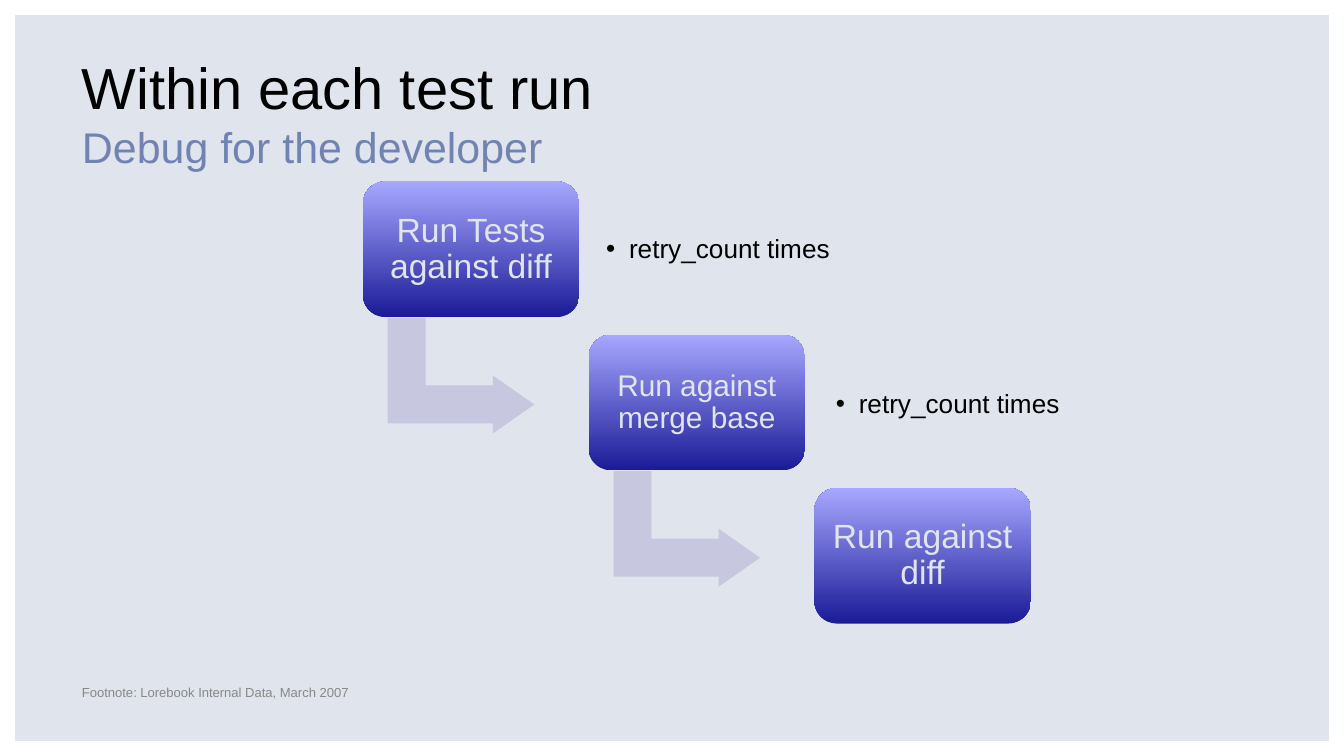
"""Build the slide showing the debug steps within each test run."""
from lxml import etree
from pptx import Presentation
from pptx.dml.color import RGBColor
from pptx.enum.shapes import MSO_SHAPE as SHAPE
from pptx.enum.text import MSO_ANCHOR as ANCHOR, MSO_AUTO_SIZE as AUTO, PP_ALIGN as ALIGN
from pptx.oxml.ns import qn
from pptx.util import Inches, Pt

TITLE = "Within each test run"
SUBTITLE = "Debug for the developer"
FOOTNOTE = "Footnote: Lorebook Internal Data, March 2007"
STEPS = [
    {"text": "Run Tests against diff", "size": 18,
     "note": "retry_count times", "note_box": (4.44, 1.44, 2.61, 0.84)},
    {"text": "Run against merge base", "size": 16,
     "note": "retry_count times", "note_box": (6.15, 2.6, 1.96, 0.82)},
    {"text": "Run against diff", "size": 18},
]

PALE = RGBColor(0xE0, 0xE4, 0xED)
WHITE = RGBColor(0xFF, 0xFF, 0xFF)
BLACK = RGBColor(0, 0, 0)
SLATE = RGBColor(0x71, 0x83, 0xB2)
GREY = RGBColor(0x88, 0x88, 0x88)
LILAC = RGBColor(0xC7, 0xC7, 0xDF)
NAVY = RGBColor(0x1B, 0x1B, 0x98)
VIOLET = RGBColor(0xA7, 0xA7, 0xFF)

FONT = "Arial"
FIRST_LEFT, FIRST_TOP = 2.7, 1.35
STEP_X, STEP_Y = 1.68, 1.14
BOX_W, BOX_H = 1.61, 1.01
ARROW_W, ARROW_H = 0.86, 1.09
PAD = 0.07


def write(sp, text, size, color, inset=0, anchor=ANCHOR.TOP, **para):
    tf = sp.text_frame
    frame = {"word_wrap": True, "auto_size": AUTO.NONE, "vertical_anchor": anchor}
    frame.update({f"margin_{side}": Inches(inset) for side in ("left", "top", "right", "bottom")})
    for name, value in frame.items():
        setattr(tf, name, value)
    p = tf.paragraphs[0]
    for name, value in {"alignment": ALIGN.LEFT, "space_before": Pt(0), **para}.items():
        setattr(p, name, value)
    r = p.add_run()
    r.text = text
    for name, value in {"size": Pt(size), "name": FONT}.items():
        setattr(r.font, name, value)
    r.font.color.rgb = color
    return p


def set_bullet(p, char=None, indent=0):
    pPr = p._p.get_or_add_pPr()
    pPr.set("marL", str(Inches(indent)))
    pPr.set("indent", str(-Inches(indent)))
    if char:
        color = etree.SubElement(pPr, qn("a:buClr"))
        etree.SubElement(color, qn("a:srgbClr")).set("val", str(BLACK))
        etree.SubElement(pPr, qn("a:buFont")).set("typeface", FONT)
        etree.SubElement(pPr, qn("a:buChar")).set("char", char)
    else:
        etree.SubElement(pPr, qn("a:buNone"))


def place(sp, *box):
    for name, value in zip(("left", "top", "width", "height"), box):
        setattr(sp, name, Inches(value))


def add_shape(kind, left, top, width, height, fill=None):
    sp = slide.shapes.add_shape(kind, *map(Inches, (left, top, width, height)))
    sp.shadow.inherit = False
    sp.line.fill.background()
    if fill is not None:
        sp.fill.solid()
        sp.fill.fore_color.rgb = fill
    return sp


def add_text(box, *args, **fmt):
    sp = slide.shapes.add_textbox(*map(Inches, box))
    return write(sp, *args, **fmt)


def add_arrow(left, top):
    sp = add_shape(SHAPE.BENT_UP_ARROW, left + 0.3, top + 0.9, ARROW_W, ARROW_H, LILAC)
    sp.rotation = 90
    for i, value in enumerate((0.328, 0.25, 0.358)):
        sp.adjustments[i] = value


def add_box(left, top, step):
    sp = add_shape(SHAPE.ROUNDED_RECTANGLE, left, top, BOX_W, BOX_H)
    sp.adjustments[0] = 0.167
    sp.fill.gradient()
    sp.fill.gradient_angle = 90
    for stop, color, pos in zip(sp.fill.gradient_stops, (NAVY, VIOLET), (0, 1)):
        stop.color.rgb = color
        stop.position = pos
    write(sp, step["text"], step["size"], PALE, inset=PAD, anchor=ANCHOR.MIDDLE,
          alignment=ALIGN.CENTER, line_spacing=0.9, space_after=Pt(6))


prs = Presentation()
prs.slide_width = Inches(10)
prs.slide_height = prs.slide_width * 9 // 16
slide = prs.slides.add_slide(prs.slide_layouts[1])
slide.background.fill.solid()
slide.background.fill.fore_color.rgb = PALE

border = add_shape(SHAPE.RECTANGLE, 0, 0, 10, 1, PALE)
border.height = prs.slide_height
border.line.color.rgb = WHITE
border.line.width = Pt(16)
slide.shapes._spTree.insert(2, border._element)

title, body = slide.placeholders
place(title, 0.61, 0.45, 8.78, 0.46)
write(title, TITLE, 31, BLACK, anchor=ANCHOR.BOTTOM, line_spacing=0.9)
place(body, 0.61, 0.9, 8.78, 4.19)
set_bullet(write(body, SUBTITLE, 23, SLATE, space_before=Pt(2)))
add_text((0.61, 5.09, 4.22, 0.13), FOOTNOTE, 7, GREY)

for i, step in enumerate(STEPS):
    left, top = FIRST_LEFT + i * STEP_X, FIRST_TOP + i * STEP_Y
    if i < len(STEPS) - 1:
        add_arrow(left, top)
    add_box(left, top, step)
    if "note" in step:
        p = add_text(step["note_box"], step["note"], 14, BLACK, inset=PAD,
                     anchor=ANCHOR.MIDDLE, line_spacing=0.9, space_after=Pt(2))
        set_bullet(p, "•", 0.17)

prs.save("out.pptx")
